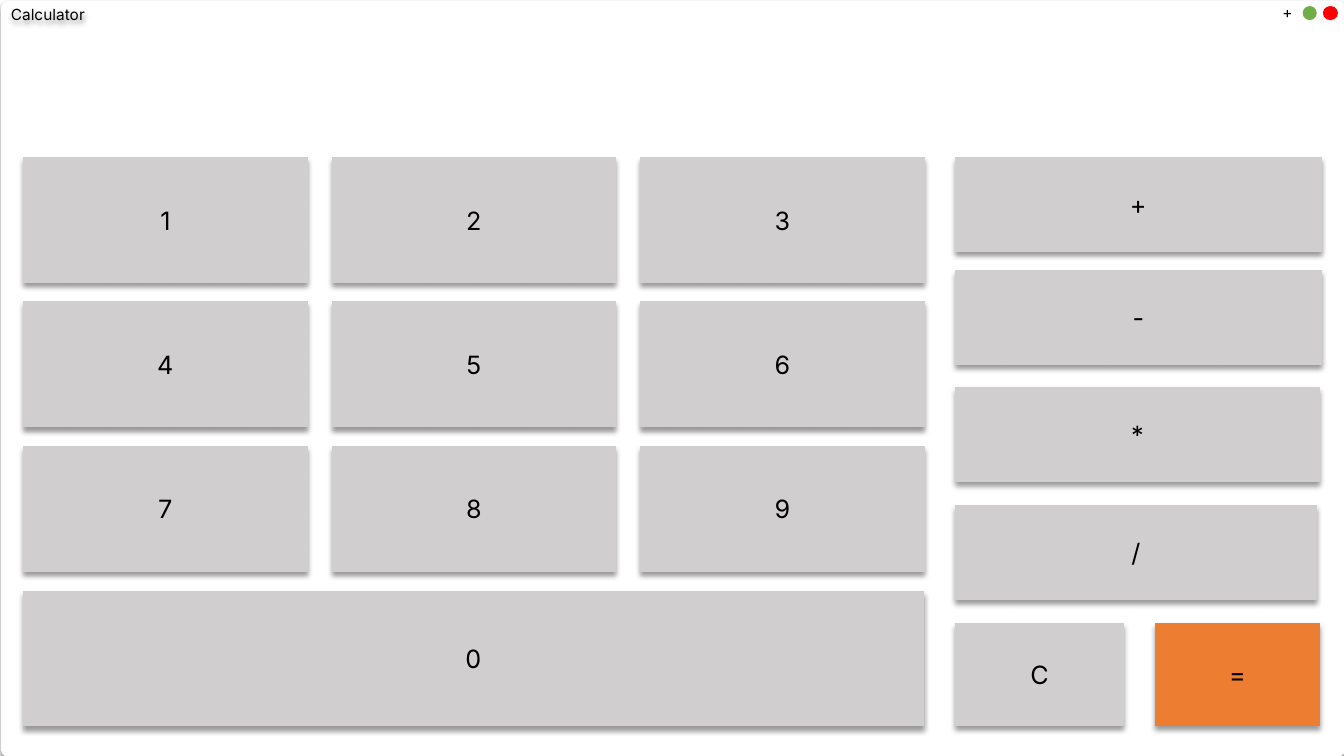
import pptx
import pptx.util
import pptx.dml.color
import pptx.enum.shapes
import pptx.enum.text
import pptx.oxml
from pptx.oxml.ns import nsdecls

Inches = pptx.util.Inches
SHAPE = pptx.enum.shapes.MSO_SHAPE
ALIGN = pptx.enum.text.PP_ALIGN
ANCHOR = pptx.enum.text.MSO_ANCHOR

# Content
TITLE = "Calculator"
EXPAND = "+"
DIGITS = ["123", "456", "789"]
OPERATORS = [("+", 1.56, 3.64), ("-", 2.68, 3.64), ("*", 3.84, 3.62), ("/", 5.01, 3.59)]
WINDOW_DOTS = [(12.92, 0.14, "70AD47"), (13.12, 0.15, "FF0000")]
FONT, BLACK, WHITE, GREY, ORANGE = "Inter", "000000", "FFFFFF", "D0CECE", "ED7D31"

# Layout in inches
PAD_LEFT, PAD_TOP = 0.23, 1.56
KEY_W, KEY_H = 2.82, 1.25
STEP_X, STEP_Y = 3.06, 1.43
OPERATOR_LEFT, OPERATOR_H = 9.47, 0.94
BOTTOM_ROW = [
    ("0", (PAD_LEFT, 5.86, 8.93, 1.34), GREY),
    ("C", (OPERATOR_LEFT, 6.18, 1.68, 1.02), GREY),
    ("=", (11.46, 6.18, 1.63, 1.02), ORANGE),
]


def rgb(color):
    return pptx.dml.color.RGBColor.from_string(color)


def write(shape, text, size=18, align=ALIGN.CENTER, anchor=ANCHOR.MIDDLE, wrap=True, grow=False):
    frame = shape.text_frame
    frame.word_wrap = wrap
    frame.vertical_anchor = anchor
    if grow:
        frame.auto_size = pptx.enum.text.MSO_AUTO_SIZE.SHAPE_TO_FIT_TEXT
    frame.margin_left = frame.margin_right = Inches(0.1)
    frame.margin_top = frame.margin_bottom = Inches(0.05)
    paragraph = frame.paragraphs[0]
    paragraph.alignment = align
    run = paragraph.add_run()
    run.text = text
    run.font.size = pptx.util.Pt(size)
    run.font.name = FONT
    run.font.color.rgb = rgb(BLACK)


def drop_shadow(shape):
    shape.shadow.inherit = False
    effects = shape.element.spPr.find(pptx.oxml.ns.qn("a:effectLst"))
    effects.append(pptx.oxml.parse_xml(
        f'<a:outerShdw {nsdecls("a")} blurRad="50800" dist="38100" dir="5400000" '
        f'algn="t" rotWithShape="0"><a:srgbClr val="{BLACK}">'
        '<a:alpha val="40000"/></a:srgbClr></a:outerShdw>'))


def add_shape(kind, box, color, shadow=True):
    shape = slide.shapes.add_shape(kind, *map(Inches, box))
    shape.fill.solid()
    shape.fill.fore_color.rgb = rgb(color)
    shape.line.fill.background()
    shape.shadow.inherit = False
    if shadow:
        drop_shadow(shape)
    return shape


def add_key(label, box, color=GREY):
    write(add_shape(SHAPE.ACTION_BUTTON_CUSTOM, box, color), label)


deck = pptx.Presentation()
deck.slide_width, deck.slide_height = Inches(13.33), Inches(7.5)
slide = deck.slides.add_slide(deck.slide_layouts[5])

# Window and its controls
window = add_shape(SHAPE.ROUNDED_RECTANGLE, (0.01, 0.01, 13.33, 7.5), WHITE)
window.adjustments[0] = 0.01
for left, width, color in WINDOW_DOTS:
    add_shape(SHAPE.OVAL, (left, 0.06, width, 0.14), color, shadow=False)
expand = slide.shapes.add_textbox(*map(Inches, (12.62, -0.02, 0.31, 0.29)))
write(expand, EXPAND, size=11, align=ALIGN.LEFT, anchor=ANCHOR.TOP, grow=True)

# Title, raised above the window
title = slide.shapes.title
title.left, title.top, title.width, title.height = map(Inches, (0, 0, 0.95, 0.29))
write(title, TITLE, size=11, anchor=ANCHOR.TOP, wrap=False, grow=True)
drop_shadow(title)
window.element.addnext(title.element)

# Number pad
for row, digits in enumerate(DIGITS):
    for column, digit in enumerate(digits):
        add_key(digit, (PAD_LEFT + column * STEP_X, PAD_TOP + row * STEP_Y, KEY_W, KEY_H))

# Operators and bottom row
for operator, top, width in OPERATORS:
    add_key(operator, (OPERATOR_LEFT, top, width, OPERATOR_H))
for label, box, color in BOTTOM_ROW:
    add_key(label, box, color)

deck.save("out.pptx")
